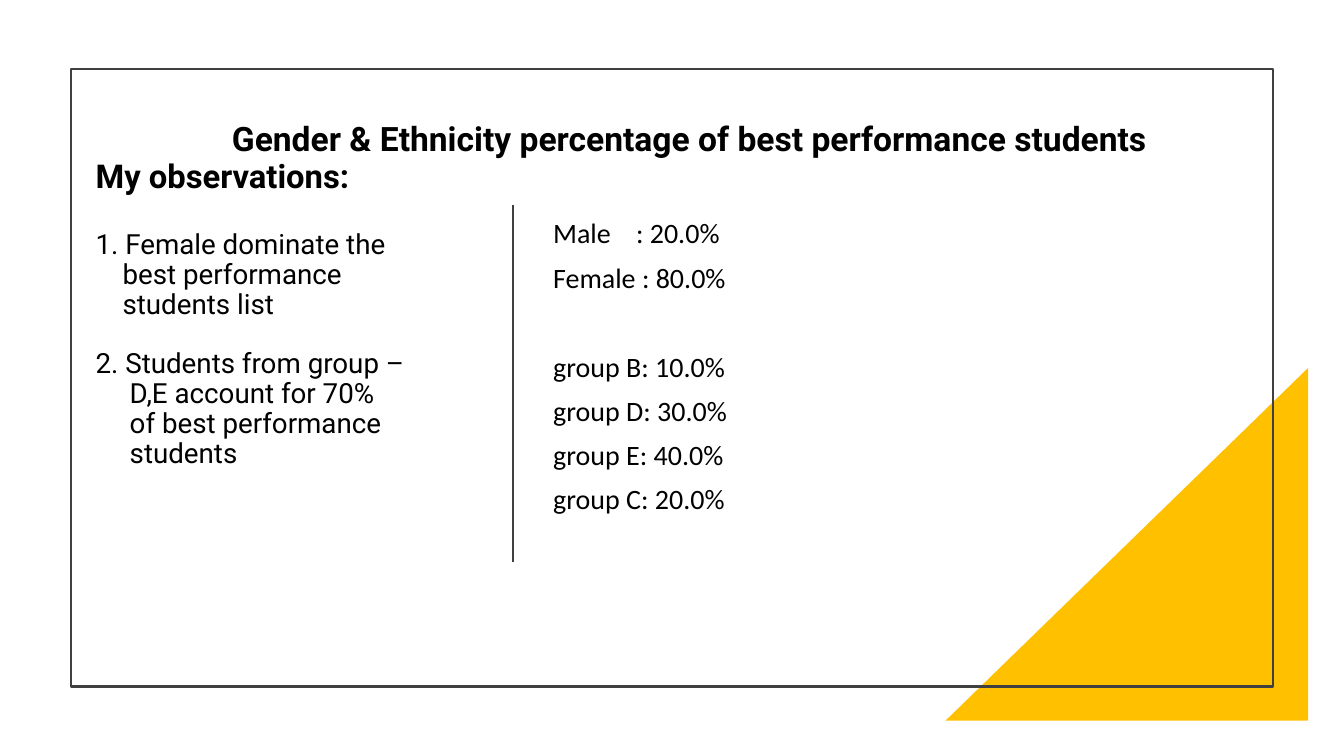
from dataclasses import dataclass

from lxml import etree
from pptx import Presentation
from pptx import util as u
from pptx.dml.color import RGBColor
from pptx.enum import shapes, text
from pptx.oxml import ns


@dataclass(frozen=True)
class Theme:
    """Colours, fonts and type sizes of the slide."""
    accent: RGBColor = RGBColor(0xFF, 0xC0, 0x00)
    line: RGBColor = RGBColor(0x40, 0x40, 0x40)
    ink: RGBColor = RGBColor(0, 0, 0)
    head_font: str = "Roboto"
    body_font: str = "Calibri"
    title: float = 24
    subhead: float = 23.4
    note: float = 19.8
    body: float = 20
    rule: float = 1.5


T = Theme()
OBSERVATIONS = [
    (0.68, ["1. Female dominate the", "best performance", "students list"]),
    (0.86, ["2. Students from group –", "D,E account for 70%",
            "of best performance", "students"]),
]
SHARES = [
    ["Male\t: 20.0%", "Female : 80.0%"],
    ["group B: 10.0%", "group D: 30.0%", "group E: 40.0%", "group C: 20.0%"],
]


def add_run(p, words, size, font, bold=False):
    """Append one formatted run to a paragraph."""
    r = p.add_run()
    r.text = words
    r.font.size = u.Pt(size)
    r.font.name = font
    r.font.bold = bold
    r.font.color.rgb = T.ink


def set_frame(tf):
    """Make a text frame wrap, start at the top and keep its size."""
    tf.word_wrap = True
    tf.auto_size = text.MSO_AUTO_SIZE.NONE
    tf.vertical_anchor = text.MSO_ANCHOR.TOP


def add_text(s, x, y, w, h):
    """Add a text box and return its frame."""
    tf = s.shapes.add_textbox(u.Cm(x), u.Cm(y), u.Cm(w), u.Cm(h)).text_frame
    set_frame(tf)
    return tf


def next_paragraph(tf, before=0):
    """Return the empty first paragraph or a new one, set tight."""
    p = tf.paragraphs[0]
    if p.runs:
        p = tf.add_paragraph()
    p.line_spacing = 0.9
    p.space_before = u.Pt(before)
    return p


def add_shape(s, kind, x, y, w, h):
    """Add a preset shape without shadow, fill or line."""
    sp = s.shapes.add_shape(kind, u.Cm(x), u.Cm(y), u.Cm(w), u.Cm(h))
    sp.shadow.inherit = False
    sp.fill.background()
    sp.line.fill.background()
    return sp


def set_line(sp):
    """Give a shape or connector the slide's thin rule."""
    sp.line.color.rgb = T.line
    sp.line.width = u.Pt(T.rule)


def add_corner(s):
    """Add the coloured triangle in the lower right corner."""
    sp = add_shape(s, shapes.MSO_SHAPE.RIGHT_TRIANGLE, 23.83, 9.27, 9.14, 8.89)
    sp._element.spPr.xfrm.set("flipH", "1")
    sp.fill.solid()
    sp.fill.fore_color.rgb = T.accent


def add_divider(s, x, top, bottom):
    """Add the vertical line between the columns."""
    c = s.shapes.add_connector(shapes.MSO_CONNECTOR.STRAIGHT,
                               u.Cm(x), u.Cm(top), u.Cm(x), u.Cm(bottom))
    set_line(c)
    etree.SubElement(c._element.spPr, ns.qn("a:effectLst"))


def set_title(s, words):
    """Place and format the title placeholder."""
    sp = s.shapes.title
    sp.left, sp.top, sp.width, sp.height = map(u.Cm, (5.59, 2.84, 23.7, 1.27))
    set_frame(sp.text_frame)
    p = sp.text_frame.paragraphs[0]
    p.alignment = text.PP_ALIGN.LEFT
    add_run(p, words, T.title, T.head_font, True)


def add_observations(s):
    """Add the heading and the numbered notes with hanging indents."""
    tf = add_text(s, 2.16, 3.91, 10.4, 9.5)
    add_run(next_paragraph(tf), "My observations:", T.subhead, T.head_font, True)
    for indent, lines in OBSERVATIONS:
        p = next_paragraph(tf, 25 if lines is OBSERVATIONS[0][1] else 21)
        pPr = p._p.get_or_add_pPr()
        pPr.set("marL", str(u.Cm(indent)))
        pPr.set("indent", str(-u.Cm(indent)))
        for i, words in enumerate(lines):
            if i:
                p.add_line_break()
            add_run(p, words, T.note, T.head_font)


def add_shares(s):
    """Add the two groups of percentages."""
    tf = add_text(s, 13.69, 5.41, 18.26, 8.48)
    for g, group in enumerate(SHARES):
        for i, words in enumerate(group):
            p = next_paragraph(tf, 10 if i else 42 * g)
            if "\t" in words:
                tabs = etree.SubElement(p._p.get_or_add_pPr(), ns.qn("a:tabLst"))
                etree.SubElement(tabs, ns.qn("a:tab"), pos=str(u.Cm(2.09)), algn="l")
            add_run(p, words, T.body, T.body_font)


def main():
    """Build and save the slide."""
    prs = Presentation()
    prs.slide_width, prs.slide_height = u.Cm(33.87), u.Cm(19.05)
    s = prs.slides.add_slide(prs.slide_layouts.get_by_name("Title Only"))
    add_corner(s)
    set_line(add_shape(s, shapes.MSO_SHAPE.RECTANGLE, 1.78, 1.73, 30.3, 15.57))
    set_title(s, "Gender & Ethnicity percentage of best performance students")
    add_observations(s)
    add_divider(s, 12.93, 5.16, 14.15)
    add_shares(s)
    prs.save("out.pptx")


if __name__ == "__main__":
    main()
